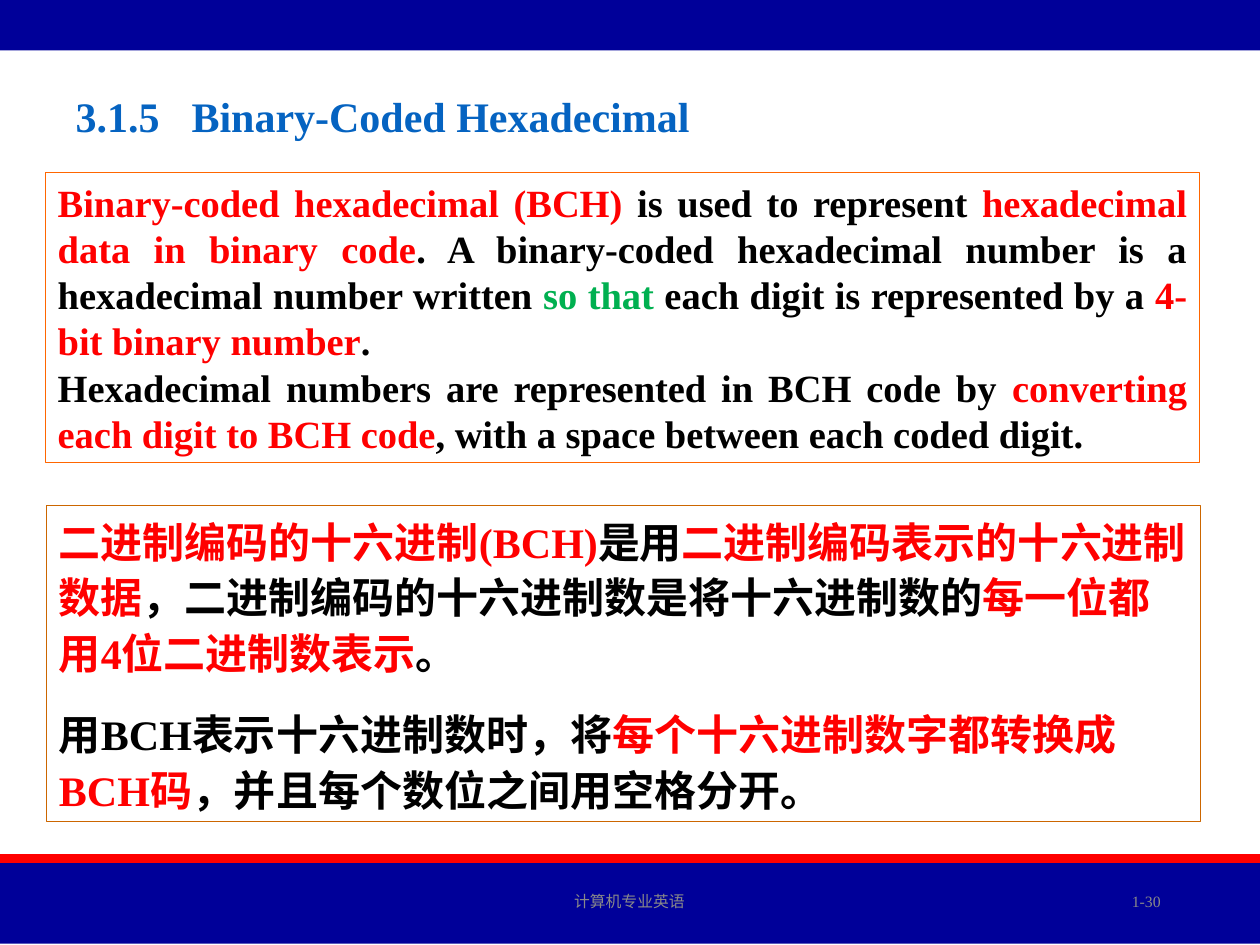
from lxml import etree
from pptx import Presentation
from pptx.dml.color import RGBColor
from pptx.enum.shapes import MSO_SHAPE as SHAPE
from pptx.enum.text import MSO_ANCHOR as ANCHOR, MSO_AUTO_SIZE as AUTO, PP_ALIGN as ALIGN
from pptx.oxml.ns import qn
from pptx.util import Inches, Pt

FONT = "Times New Roman"
C = {"navy": "000099", "red": "FF0000", "black": "000000", "green": "00B050",
     "blue": "0563C1", "grey": "898989", "orange": "FF6600", "brown": "CC6600"}

BARS = [(0, 0.4, "navy"), (6.78, 0.07, "red"), (6.85, 0.64, "navy")]
TITLE = "3.1.5\tBinary-Coded Hexadecimal"
ENGLISH = [
    [("Binary-coded hexadecimal (BCH) ", "red"), ("is used to represent ", "black"),
     ("hexadecimal data in binary code", "red"),
     (". A binary-coded hexadecimal number is a hexadecimal number written ", "black"),
     ("so that", "green"), (" each digit is represented by a ", "black"),
     ("4-bit binary number", "red"), (".", "black")],
    [("Hexadecimal numbers are represented in BCH code by ", "black"),
     ("converting each digit to BCH code", "red"),
     (", with a space between each coded digit.", "black")],
]
CHINESE = [
    [("二进制编码的十六进制(BCH)", "red"), ("是用", "black"),
     ("二进制编码表示的十六进制数据", "red"),
     ("，二进制编码的十六进制数是将十六进制数的", "black"),
     ("每一位都用4位二进制数表示", "red"), ("。", "black")],
    [("用BCH表示十六进制数时，将", "black"),
     ("每个十六进制数字都转换成BCH码", "red"),
     ("，并且每个数位之间用空格分开。", "black")],
]
PANELS = [
    (ENGLISH, (0.36, 1.37, 9.16, 2.3), "orange", dict(size=22, align=ALIGN.JUSTIFY)),
    (CHINESE, (0.37, 4.01, 9.16, 2.51), "brown", dict(size=24, spacing=1.1, before=15)),
]
FOOTER = [
    ("计算机专业英语", (3.31, 6.95, 3.37, 0.4), ALIGN.CENTER),
    ("1-30", (7.06, 6.95, 2.25, 0.4), ALIGN.RIGHT),
]


def rgb(name):
    return RGBColor.from_string(C[name])


def inches(box):
    return [Inches(v) for v in box]


def write(tf, paragraphs, size=24, bold=True, align=ALIGN.LEFT, anchor=ANCHOR.TOP,
          spacing=1.0, before=0, tab=None, auto=AUTO.SHAPE_TO_FIT_TEXT):
    tf.word_wrap = True
    tf.auto_size = auto
    tf.vertical_anchor = anchor
    for i, runs in enumerate(paragraphs):
        p = tf.add_paragraph() if i else tf.paragraphs[0]
        if tab:
            tabs = etree.SubElement(p._p.get_or_add_pPr(), qn("a:tabLst"))
            etree.SubElement(tabs, qn("a:tab"), pos=str(Inches(tab)), algn="l")
        p.alignment = align
        p.line_spacing = spacing
        p.space_before = Pt(before if i else 0)
        for text, color in runs:
            r = p.add_run()
            r.text = text
            r.font.name = FONT
            r.font.size = Pt(size)
            r.font.bold = bold
            r.font.color.rgb = rgb(color)


def add_rect(s, box, fill=None, line=None):
    sp = s.shapes.add_shape(SHAPE.RECTANGLE, *inches(box))
    sp.shadow.inherit = False
    if fill:
        sp.fill.solid()
        sp.fill.fore_color.rgb = rgb(fill)
    else:
        sp.fill.background()
    if line:
        sp.line.color.rgb = rgb(line)
        sp.line.width = Pt(0.75)
    else:
        sp.line.fill.background()
    return sp


def main():
    prs = Presentation()
    prs.slide_width, prs.slide_height = Inches(10), Inches(7.5)
    s = prs.slides.add_slide(prs.slide_layouts[5])

    for top, height, color in BARS:
        add_rect(s, (0, top, 10, height), fill=color)

    title = s.shapes.title
    title.left, title.top, title.width, title.height = inches((0.5, 0.67, 8.58, 0.5))
    write(title.text_frame, [[(TITLE, "blue")]], tab=0.92)

    for paragraphs, box, color, style in PANELS:
        write(add_rect(s, box, line=color).text_frame, paragraphs, **style)

    for text, box, align in FOOTER:
        tb = s.shapes.add_textbox(*inches(box))
        write(tb.text_frame, [[(text, "grey")]], size=9, bold=False, align=align,
              anchor=ANCHOR.MIDDLE, auto=AUTO.NONE)

    prs.save("out.pptx")


if __name__ == "__main__":
    main()
